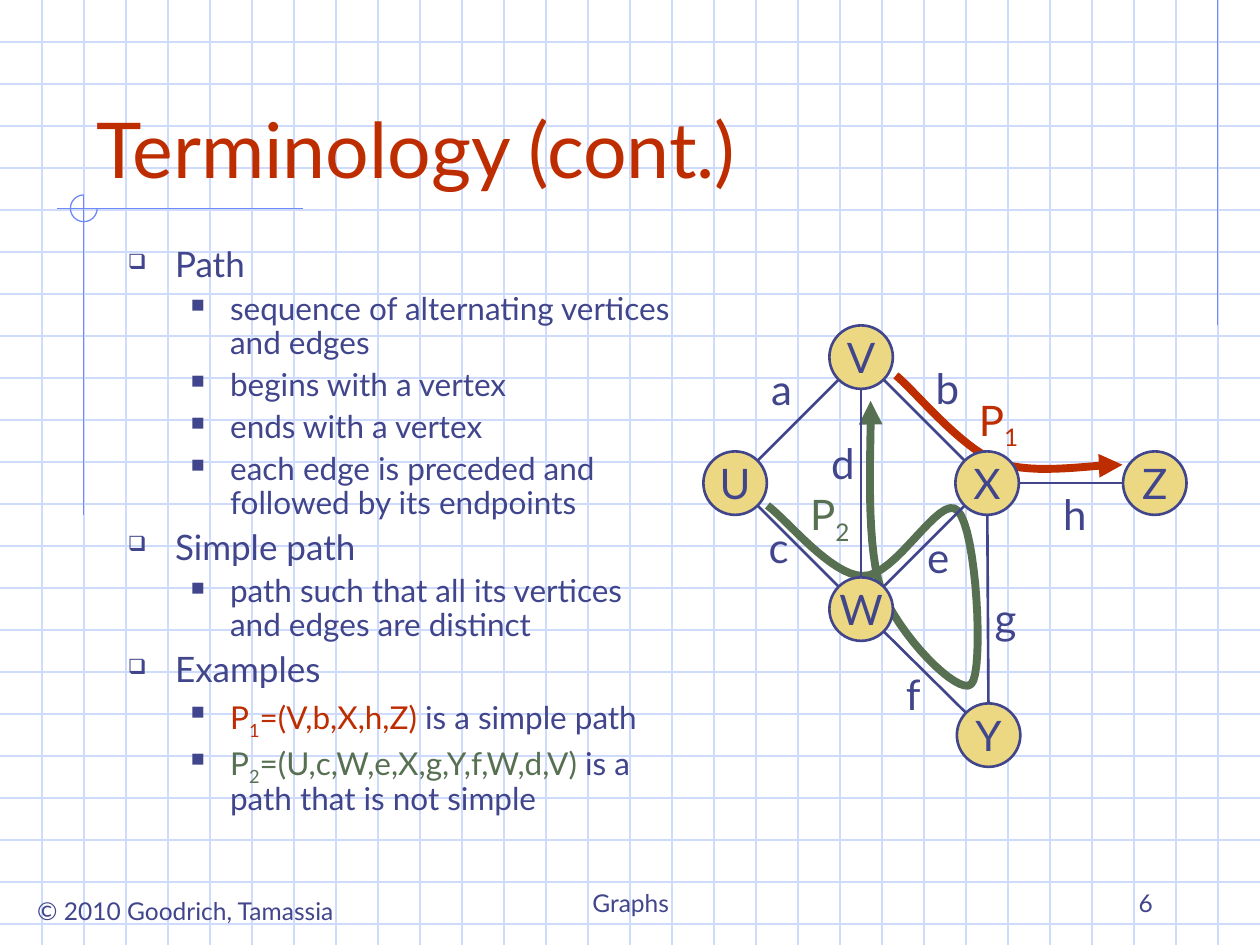
"""Build the graph terminology slide with its path diagram."""
from math import hypot

from lxml.etree import SubElement
from pptx import Presentation
from pptx.dml.color import RGBColor
from pptx.enum.shapes import MSO_CONNECTOR, MSO_SHAPE
from pptx.enum.text import MSO_ANCHOR as ANCHOR, MSO_AUTO_SIZE, PP_ALIGN as ALIGN
from pptx.oxml.ns import qn
from pptx.util import Cm, Pt

rgb = RGBColor.from_string
NAVY, RED, GREEN = "40458C", "BE2D00", "577052"
GRID, ACCENT, GOLD = "CFDBFD", "6F89F7", "ECD882"


def write(paragraph, text, size=24, color=NAVY, subscript=False):
    run = paragraph.add_run()
    run.text = text
    run.font.name = "Lato"
    run.font.size = Pt(size)
    run.font.color.rgb = rgb(color)
    if subscript:
        run.font._element.set("baseline", "-25000")


def draw_line(x1, y1, x2, y2, color, width=0.75):
    line = slide.shapes.add_connector(
        MSO_CONNECTOR.STRAIGHT, Cm(x1), Cm(y1), Cm(x2), Cm(y2))
    line.line.color.rgb = rgb(color)
    line.line.width = Pt(width)
    SubElement(line._element.spPr, qn("a:effectLst"))


presentation = Presentation()
presentation.slide_width, presentation.slide_height = Cm(25.4), Cm(19.05)
slide = presentation.slides.add_slide(presentation.slide_layouts[5])

step = 25.4 / 30
for row in range(1, 23):
    draw_line(0, row * step, 25.4, row * step, GRID)
for column in range(1, 30):
    draw_line(column * step, 0, column * step, 19.05, GRID)
for ends in [(24.55, 0, 24.55, 6.55), (6.1, 4.2, 1.15, 4.2), (1.69, 3.93, 1.69, 10.39)]:
    draw_line(*ends, ACCENT)

arc = slide.shapes.add_shape(MSO_SHAPE.ARC, Cm(1.42), Cm(3.93), Cm(0.54), Cm(0.54))
arc.adjustments[0], arc.adjustments[1] = 0, 162
arc.shadow.inherit = False
arc.fill.background()
arc.line.color.rgb = rgb(ACCENT)
arc.line.width = Pt(0.75)

title = slide.shapes.title
slide.shapes._spTree.append(title._element)
title.left, title.top, title.width, title.height = Cm(1.69), Cm(0.85), Cm(21.59), Cm(3.18)
title.text_frame.auto_size = MSO_AUTO_SIZE.NONE
title.text_frame.vertical_anchor = ANCHOR.BOTTOM
title.text_frame.paragraphs[0].alignment = ALIGN.LEFT
write(title.text_frame.paragraphs[0], "Terminology (cont.)", size=44, color=RED)

outline = [
    (0, [("Path", NAVY, False)]),
    (1, [("sequence of alternating vertices and edges", NAVY, False)]),
    (1, [("begins with a vertex", NAVY, False)]),
    (1, [("ends with a vertex", NAVY, False)]),
    (1, [("each edge is preceded and followed by its endpoints", NAVY, False)]),
    (0, [("Simple path", NAVY, False)]),
    (1, [("path such that all its vertices and edges are distinct", NAVY, False)]),
    (0, [("Examples", NAVY, False)]),
    (1, [("P", RED, False), ("1", RED, True), ("=(V,b,X,h,Z)", RED, False),
         (" is a simple path", NAVY, False)]),
    (1, [("P", GREEN, False), ("2", GREEN, True), ("=(U,c,W,e,X,g,Y,f,W,d,V)", GREEN, False),
         (" is a path that is not simple", NAVY, False)]),
]
levels = [("❑", 20, 5, 0.95, 0.95), ("■", 18, 4.5, 2.06, 0.79)]
body = slide.shapes.add_textbox(Cm(2.33), Cm(4.87), Cm(11.43), Cm(11.85)).text_frame
body.word_wrap = True
for index, (level, runs) in enumerate(outline):
    bullet, size, space, margin, hanging = levels[level]
    paragraph = body.add_paragraph() if index else body.paragraphs[0]
    paragraph.level = level
    paragraph.line_spacing = 0.9
    paragraph.space_before = Pt(space if index else 0)
    properties = paragraph._p.get_or_add_pPr()
    properties.set("marL", str(Cm(margin)))
    properties.set("indent", str(-Cm(hanging)))
    SubElement(SubElement(properties, qn("a:buClr")), qn("a:srgbClr"), val=NAVY)
    SubElement(properties, qn("a:buSzPct"), val="60000")
    SubElement(properties, qn("a:buChar"), char=bullet)
    for text, color, subscript in runs:
        write(paragraph, text, size=size, color=color, subscript=subscript)

paths = [
    (GREEN, "a:headEnd", (17.55, 8.08), [
        ((17.58, 8.69), (17.42, 10.87), (17.75, 11.84)),
        ((18.08, 12.78), (19.33, 14.05), (19.58, 13.79)),
        ((19.84, 13.54), (19.69, 10.64), (19.3, 10.29)),
        ((18.95, 9.93), (18.06, 11.63), (17.4, 11.61)),
        ((16.76, 11.61), (15.88, 10.49), (15.47, 10.19))]),
    (RED, "a:tailEnd", (18.06, 7.57), [
        ((18.42, 7.85), (19.35, 9.02), (20.12, 9.32)),
        ((20.88, 9.6), (22.1, 9.35), (22.63, 9.37))]),
]
for color, arrow_end, start, curves in paths:
    builder = slide.shapes.build_freeform(Cm(start[0]), Cm(start[1]))
    points = []
    for control1, control2, end in curves:
        for part in range(1, 17):
            t = part / 16
            points.append([
                Cm((1 - t) ** 3 * a + 3 * t * (1 - t) ** 2 * b + 3 * t * t * (1 - t) * c + t ** 3 * d)
                for a, b, c, d in zip(start, control1, control2, end)])
        start = end
    builder.add_line_segments(points, close=False)
    path = builder.convert_to_shape()
    path.shadow.inherit = False
    path.fill.background()
    path.line.color.rgb = rgb(color)
    path.line.width = Pt(4.5)
    SubElement(path.line._get_or_add_ln(), qn(arrow_end), type="triangle")

vertices = {"U": (14.82, 9.74), "V": (17.36, 7.2), "W": (17.36, 12.28),
            "X": (19.9, 9.74), "Y": (19.93, 14.82), "Z": (23.28, 9.74)}
radius = 0.64
for first, second in ["VU", "WU", "WX", "XZ", "VX", "VW", "WY", "XY"]:
    (x1, y1), (x2, y2) = vertices[first], vertices[second]
    length = hypot(x2 - x1, y2 - y1)
    dx, dy = radius * (x2 - x1) / length, radius * (y2 - y1) / length
    draw_line(x1 + dx, y1 + dy, x2 - dx, y2 - dy, NAVY, 1.5)

for name, (x, y) in vertices.items():
    vertex = slide.shapes.add_shape(
        MSO_SHAPE.OVAL, Cm(x - radius), Cm(y - radius), Cm(2 * radius), Cm(2 * radius))
    vertex.shadow.inherit = False
    vertex.fill.solid()
    vertex.fill.fore_color.rgb = rgb(GOLD)
    vertex.line.color.rgb = rgb(NAVY)
    vertex.line.width = Pt(1.5)
    vertex.text_frame.word_wrap = False
    vertex.text_frame.vertical_anchor = ANCHOR.MIDDLE
    vertex.text_frame.paragraphs[0].alignment = ALIGN.CENTER
    write(vertex.text_frame.paragraphs[0], name)

labels = [
    ("a", "", NAVY, 15.27, 7.21, 0.97), ("b", "", NAVY, 18.59, 7.19, 1.02),
    ("c", "", NAVY, 15.24, 10.39, 0.91), ("d", "", NAVY, 16.48, 8.69, 1.02),
    ("e", "", NAVY, 18.42, 10.59, 0.99), ("f", "", NAVY, 18.01, 13.36, 0.79),
    ("g", "", NAVY, 19.76, 11.81, 1.02), ("h", "", NAVY, 21.16, 9.73, 1.02),
    ("P", "1", RED, 19.48, 7.82, 1.3), ("P", "2", GREEN, 16.08, 9.73, 1.3),
]
for text, number, color, x, y, width in labels:
    label = slide.shapes.add_textbox(Cm(x), Cm(y), Cm(width), Cm(1.27)).text_frame
    label.word_wrap = False
    label.paragraphs[0].alignment = ALIGN.CENTER
    write(label.paragraphs[0], text, color=color)
    if number:
        write(label.paragraphs[0], number, color=color, subscript=True)

footers = [
    ("© 2010 Goodrich, Tamassia", 0.3, 17.93, 6.88, 0.86, ANCHOR.TOP, ALIGN.CENTER),
    ("Graphs", 8.69, 17.35, 8.05, 1.27, ANCHOR.BOTTOM, ALIGN.CENTER),
    ("6", 18.21, 17.35, 5.28, 1.27, ANCHOR.BOTTOM, ALIGN.RIGHT),
]
for text, x, y, width, height, anchor, alignment in footers:
    footer = slide.shapes.add_textbox(Cm(x), Cm(y), Cm(width), Cm(height)).text_frame
    footer.word_wrap = True
    footer.vertical_anchor = anchor
    footer.paragraphs[0].alignment = alignment
    write(footer.paragraphs[0], text, size=14)

presentation.save("out.pptx")
